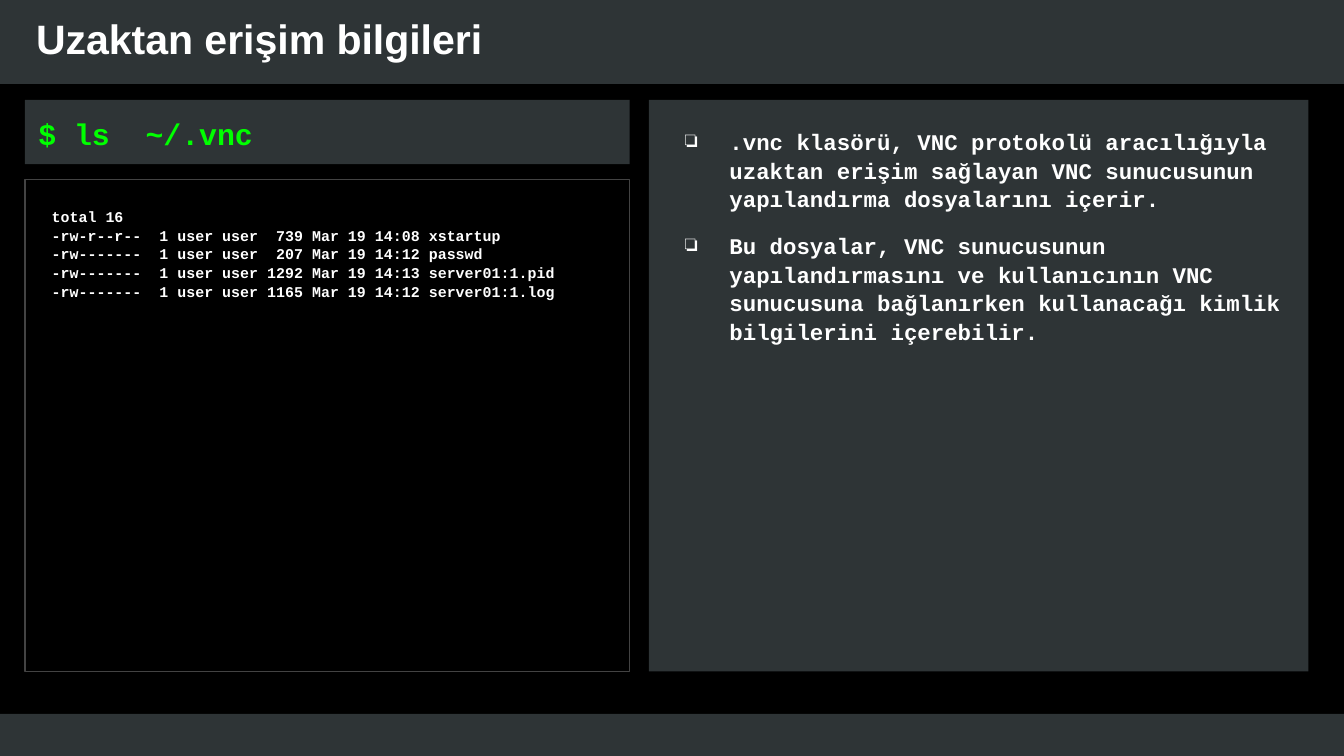
from dataclasses import dataclass

from lxml import etree
from pptx import Presentation
from pptx.dml.color import RGBColor
from pptx.enum import shapes, text
from pptx.oxml import ns
from pptx.util import Pt

COLORS = {
    "background": "000000",
    "panel": "2E3436",
    "border": "434343",
    "text": "FFFFFF",
    "prompt": "00FF00",
}
MONO = "Courier New"
WIDTH, HEIGHT = 720, 405
LEFT, TOP, BOTTOM = 13.4, 53.5, 359.75
COLUMN_W, COMMAND_H, OUTPUT_TOP = 324, 34.5, 96
NOTES_LEFT, NOTES_W = 347.7, 353.3
HEADER_H, FOOTER_TOP = 45, 382.5


@dataclass(frozen=True)
class Box:
    left: float
    top: float
    width: float
    height: float
    fill: str | None = None
    line: str | None = None


def color(name: str) -> RGBColor:
    return RGBColor.from_string(COLORS[name])


def add_box(s, box: Box):
    sp = s.shapes.add_shape(
        shapes.MSO_SHAPE.RECTANGLE,
        Pt(box.left), Pt(box.top), Pt(box.width), Pt(box.height))
    sp.shadow.inherit = False
    if box.fill:
        sp.fill.solid()
        sp.fill.fore_color.rgb = color(box.fill)
    else:
        sp.fill.background()
    if box.line:
        sp.line.color.rgb = color(box.line)
        sp.line.width = Pt(0.75)
    else:
        sp.line.fill.background()
    return sp


def add_bullet(p, char: str) -> None:
    pPr = p._p.get_or_add_pPr()
    bu_color = etree.SubElement(pPr, ns.qn("a:buClr"))
    etree.SubElement(bu_color, ns.qn("a:srgbClr"), val=COLORS["text"])
    etree.SubElement(pPr, ns.qn("a:buChar"), char=char)


def write(sp, lines: list[str], *, size: float, font: str = MONO,
          fill: str = "text", middle: bool = False,
          insets: tuple[float, ...] = (7.2, 14.4, 7.2, 7.2),
          margin: float = 0, indent: float = 0, bullet: str | None = None,
          gap: float = 0, spacing: float = 1.06) -> None:
    """Fill a shape with one left-aligned bold paragraph per line."""
    tf = sp.text_frame
    tf.word_wrap = True
    tf.vertical_anchor = (text.MSO_ANCHOR.MIDDLE if middle
                          else text.MSO_ANCHOR.TOP)
    (tf.margin_left, tf.margin_top,
     tf.margin_right, tf.margin_bottom) = map(Pt, insets)
    for i, line in enumerate(lines):
        p = tf.add_paragraph() if i else tf.paragraphs[0]
        p.alignment = text.PP_ALIGN.LEFT
        p.line_spacing = spacing
        p.space_before = Pt(gap if i else 0)
        pPr = p._p.get_or_add_pPr()
        pPr.set("marL", str(Pt(margin)))
        pPr.set("indent", str(Pt(indent)))
        if bullet:
            add_bullet(p, bullet)
        r = p.add_run()
        r.text = line
        r.font.name = font
        r.font.size = Pt(size)
        r.font.bold = True
        r.font.color.rgb = color(fill)


def main() -> None:
    prs = Presentation()
    prs.slide_width, prs.slide_height = Pt(WIDTH), Pt(HEIGHT)
    s = prs.slides.add_slide(prs.slide_layouts[6])
    s.background.fill.solid()
    s.background.fill.fore_color.rgb = color("background")

    add_box(s, Box(0, FOOTER_TOP, WIDTH, HEIGHT - FOOTER_TOP, "panel"))
    add_box(s, Box(0, 0, WIDTH, HEADER_H, "panel"))

    title = s.shapes.add_textbox(Pt(12.25), Pt(0), Pt(618), Pt(40.5))
    write(title, ["Uzaktan erişim bilgileri"], size=22, font="Arial",
          middle=True, insets=(7.2,) * 4, spacing=1.0)

    output = add_box(s, Box(LEFT, OUTPUT_TOP, COLUMN_W, BOTTOM - OUTPUT_TOP,
                            line="border"))
    write(output, [
        "total 16",
        "-rw-r--r--  1 user user  739 Mar 19 14:08 xstartup",
        "-rw-------  1 user user  207 Mar 19 14:12 passwd",
        "-rw-------  1 user user 1292 Mar 19 14:13 server01:1.pid",
        "-rw-------  1 user user 1165 Mar 19 14:12 server01:1.log",
    ], size=8, margin=7.2)

    command = add_box(s, Box(LEFT, TOP, COLUMN_W, COMMAND_H, "panel"))
    write(command, ["$ ls  ~/.vnc"], size=16, fill="prompt", middle=True,
          insets=(0,) * 4, margin=7.2)

    notes = add_box(s, Box(NOTES_LEFT, TOP, NOTES_W, BOTTOM - TOP, "panel"))
    write(notes, [
        ".vnc klasörü, VNC protokolü aracılığıyla uzaktan erişim sağlayan "
        "VNC sunucusunun yapılandırma dosyalarını içerir.",
        "Bu dosyalar, VNC sunucusunun yapılandırmasını ve kullanıcının VNC "
        "sunucusuna bağlanırken kullanacağı kimlik bilgilerini içerebilir.",
    ], size=12, margin=36, indent=-23.75, bullet="❏", gap=10)

    prs.save("out.pptx")


if __name__ == "__main__":
    main()
